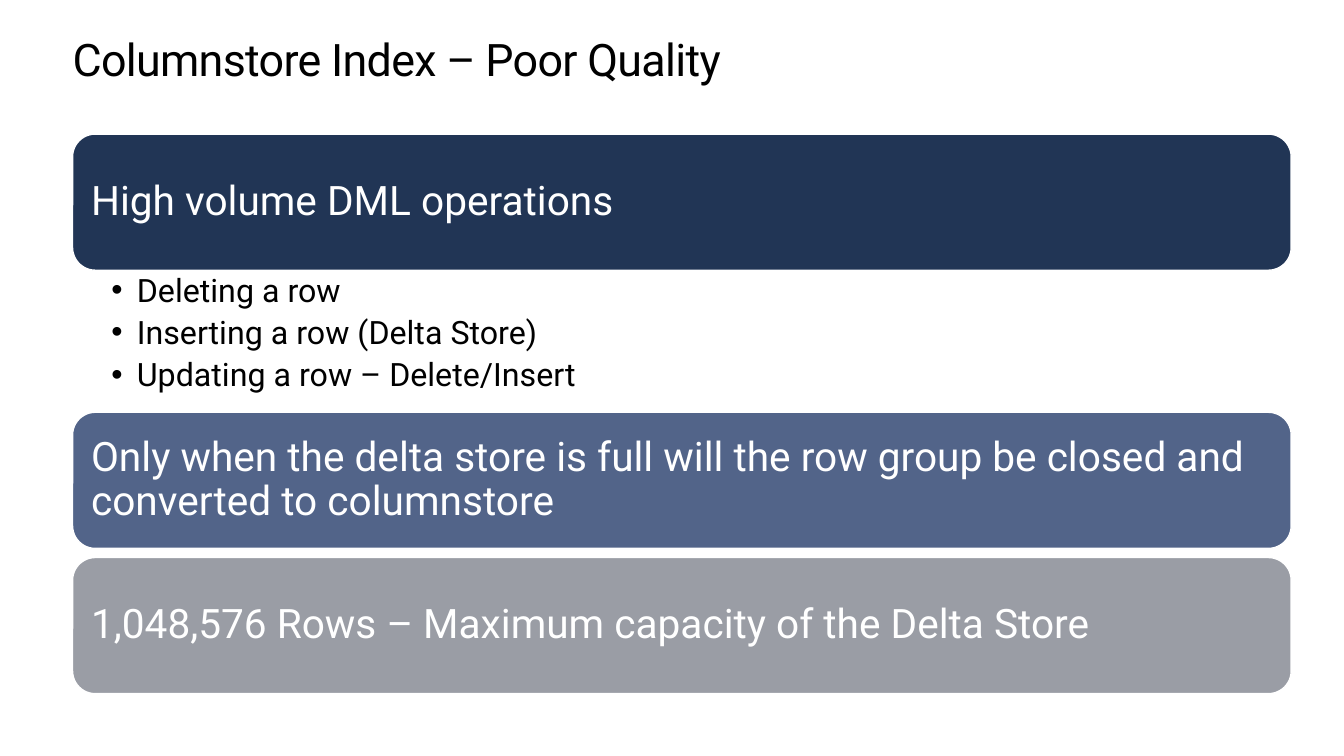
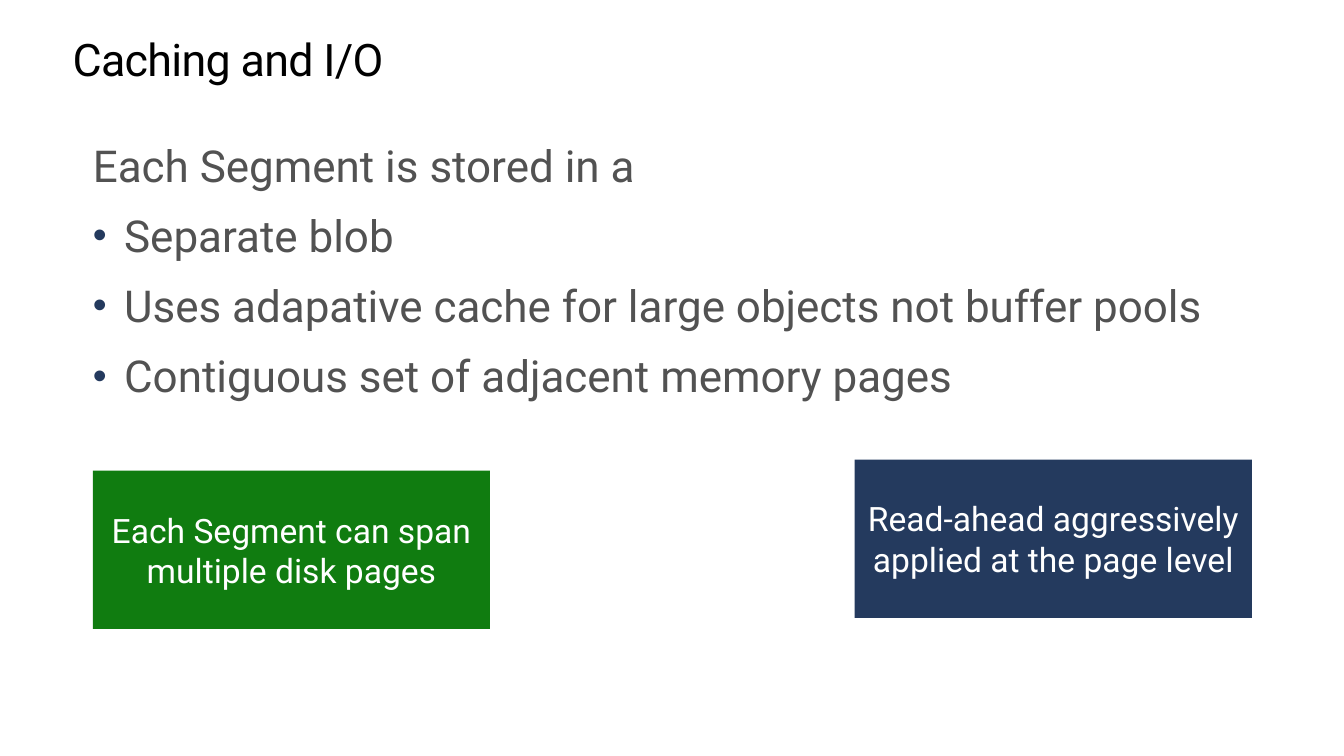
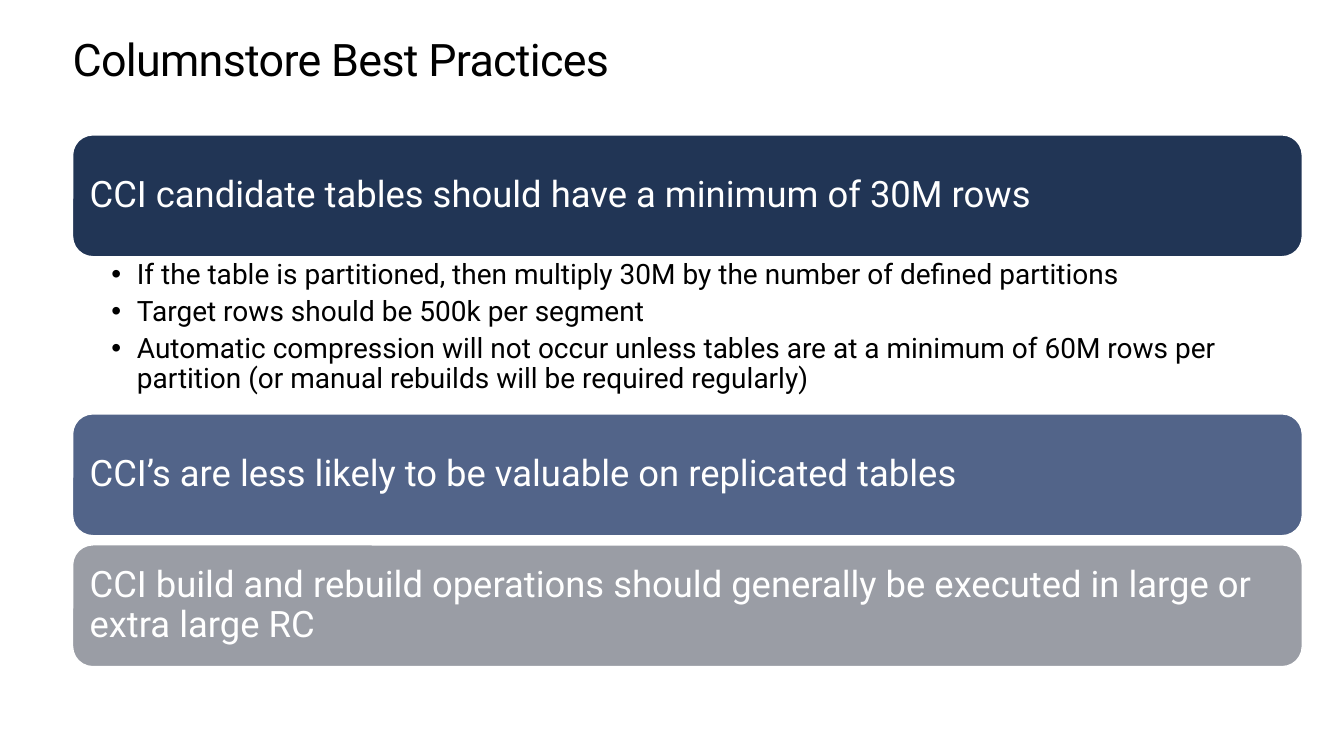
from lxml import etree
from pptx import Presentation
from pptx.dml.color import RGBColor
from pptx.enum.shapes import MSO_SHAPE
from pptx.enum.text import MSO_ANCHOR, PP_ALIGN
from pptx.oxml.ns import qn
from pptx.util import Cm, Pt

RECT = MSO_SHAPE.RECTANGLE
ROUND = MSO_SHAPE.ROUNDED_RECTANGLE
TOP, MIDDLE = MSO_ANCHOR.TOP, MSO_ANCHOR.MIDDLE
LEFT, CENTER = PP_ALIGN.LEFT, PP_ALIGN.CENTER

FONT = "Roboto"
BLACK, WHITE, GRAY = "000000", "FFFFFF", "525252"
NAVY, GREEN = "243A5E", "107C10"
BARS = ("213555", "526489", "9A9DA5")
EDGE = 1.83
GAP = 0.23


def color(code):
    return RGBColor.from_string(code)


def apply(target, values):
    for name, value in values.items():
        setattr(target, name, value)


def bullet(para, indent, tint=None, scale=None):
    """Give a paragraph a hanging bullet."""
    props = para._p.get_or_add_pPr()
    props.set("marL", str(Cm(indent)))
    props.set("indent", str(-Cm(indent)))
    if tint:
        holder = etree.SubElement(props, qn("a:buClr"))
        etree.SubElement(holder, qn("a:srgbClr"), val=tint)
    if scale:
        etree.SubElement(props, qn("a:buSzPct"), val=str(scale * 1000))
    etree.SubElement(props, qn("a:buFont"), typeface="Arial")
    etree.SubElement(props, qn("a:buChar"), char="•")


class Deck:
    def __init__(self):
        self.file = Presentation()
        apply(self.file, {"slide_width": Cm(33.87), "slide_height": Cm(19.05)})
        self.slide = None

    def start(self, title):
        """Add a slide with its title."""
        self.slide = self.file.slides.add_slide(self.file.slide_layouts[6])
        para = self.text((EDGE, 0.89, 30.23, 1.27), [title], 32, BLACK,
                         line_spacing=Pt(36.2))[0]
        para.runs[0].font._element.set("spc", "-50")

    def fill(self, shape, lines, size, tint, pads=(0, 0, 0, 0),
             anchor=TOP, **layout):
        """Put one paragraph per line into a shape and return them."""
        frame = shape.text_frame
        sides = ("margin_left", "margin_top", "margin_right", "margin_bottom")
        apply(frame, {"word_wrap": True, "vertical_anchor": anchor})
        apply(frame, {side: Cm(pad) for side, pad in zip(sides, pads)})
        frame.text = "\n".join(lines)
        for para in frame.paragraphs:
            apply(para, {"alignment": LEFT, **layout})
            font = para.runs[0].font
            apply(font, {"name": FONT, "size": Pt(size)})
            font.color.rgb = color(tint)
        return frame.paragraphs

    def text(self, place, lines, size, tint, **layout):
        box = self.slide.shapes.add_textbox(*map(Cm, place))
        return self.fill(box, lines, size, tint, **layout)

    def block(self, kind, place, tint, words, size, line=None, **layout):
        shape = self.slide.shapes.add_shape(kind, *map(Cm, place))
        shape.shadow.inherit = False
        shape.fill.solid()
        shape.fill.fore_color.rgb = color(tint)
        if line:
            shape.line.color.rgb = color(line)
            shape.line.width = Pt(1)
        else:
            shape.line.fill.background()
        self.fill(shape, [words], size, WHITE, anchor=MIDDLE, **layout)

    def stack(self, heads, points, top, width, high, room, size, small, pad):
        """Stack three bars, with a list below the first."""
        for index, (head, tint) in enumerate(zip(heads, BARS)):
            self.block(ROUND, (EDGE, top, width, high), tint, head, size,
                       line=WHITE, pads=[pad] * 4, line_spacing=0.9)
            top += high
            if index == 0:
                paras = self.text((EDGE, top, width, room), points, small,
                                  BLACK, pads=(0.98, 0.1, 0.55, 0.1),
                                  line_spacing=0.9,
                                  space_after=Pt(round(small * 0.23, 1)))
                for para in paras:
                    bullet(para, 0.64)
                top += room
            else:
                top += GAP

    def card(self, left, top, tint, words):
        self.block(RECT, (left, top, 10.01, 3.99), tint, words, 24,
                   pads=(0.25, 0.13, 0.25, 0.13), alignment=CENTER)


def main():
    deck = Deck()

    deck.start("Columnstore Index – Poor Quality")
    deck.stack(
        ["High volume DML operations",
         "Only when the delta store is full will the row group be closed "
         "and converted to columnstore",
         "1,048,576 Rows – Maximum capacity of the Delta Store"],
        ["Deleting a row",
         "Inserting a row (Delta Store)",
         "Updating a row – Delete/Insert"],
        top=3.38, width=30.71, high=3.43, room=3.58,
        size=29, small=23, pad=0.3)

    deck.start("Caching and I/O")
    paras = deck.text(
        (2.34, 3.48, 28.52, 8.38),
        ["Each Segment is stored in a",
         "Separate blob",
         "Uses adapative cache for large objects not buffer pools",
         "Contiguous set of adjacent memory pages"],
        31.4, GRAY, space_before=Pt(12.5))
    for para in paras[1:]:
        bullet(para, 0.79, NAVY, 90)
    deck.card(2.34, 11.86, GREEN, "Each Segment can span multiple disk pages")
    deck.card(21.54, 11.58, NAVY,
              "Read-ahead aggressively applied at the page level")

    deck.start("Columnstore Best Practices")
    deck.stack(
        ["CCI candidate tables should have a minimum of 30M rows",
         "CCI’s are less likely to be valuable on replicated tables",
         "CCI build and rebuild operations should generally be executed "
         "in large or extra large RC"],
        ["If the table is partitioned, then multiply 30M by the number of "
         "defined partitions",
         "Target rows should be 500k per segment",
         "Automatic compression will not occur unless tables are at a "
         "minimum of 60M rows per partition (or manual rebuilds will be "
         "required regularly)"],
        top=3.4, width=30.99, high=3.07, room=3.96,
        size=26, small=20, pad=0.28)

    deck.file.save("out.pptx")


if __name__ == "__main__":
    main()
